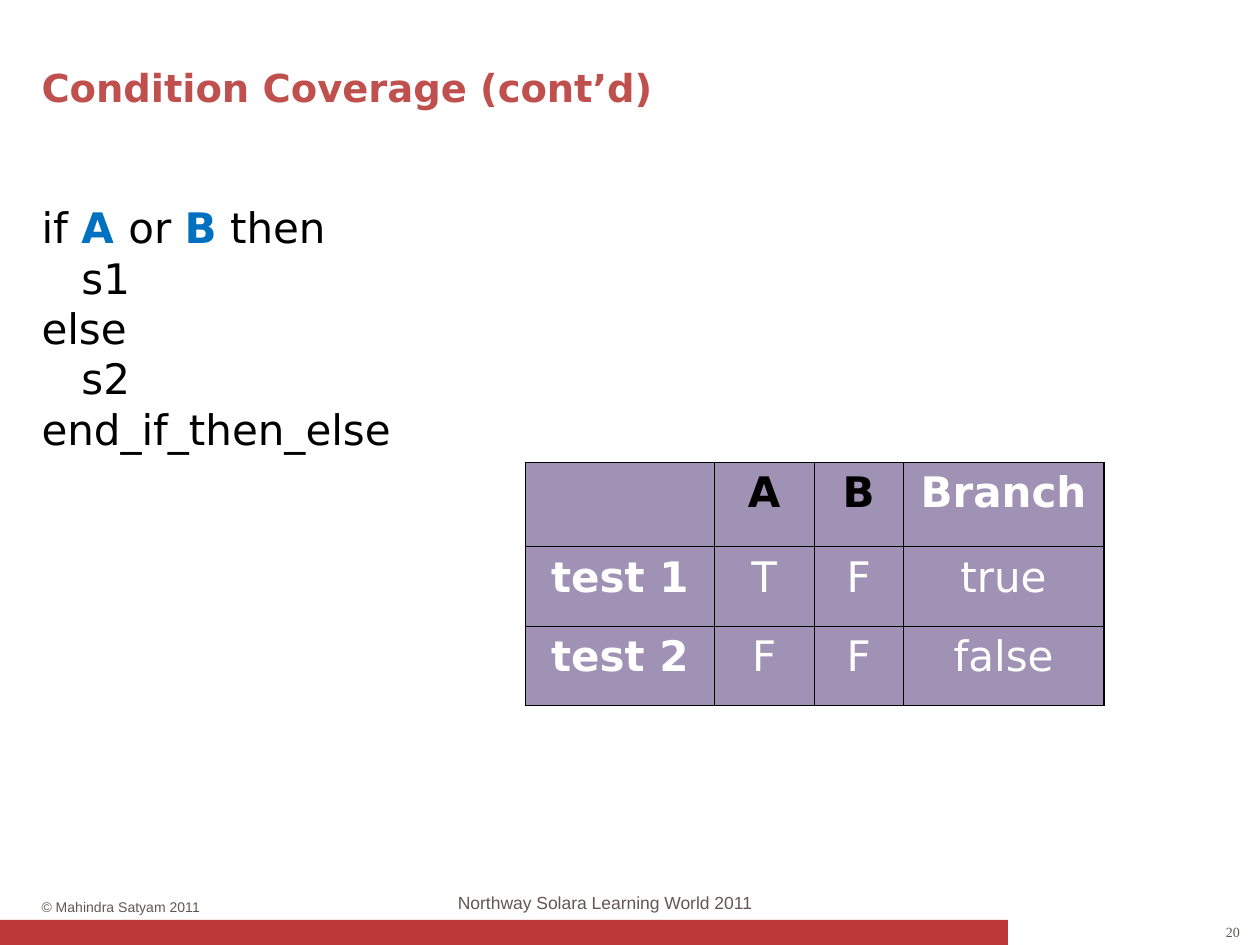
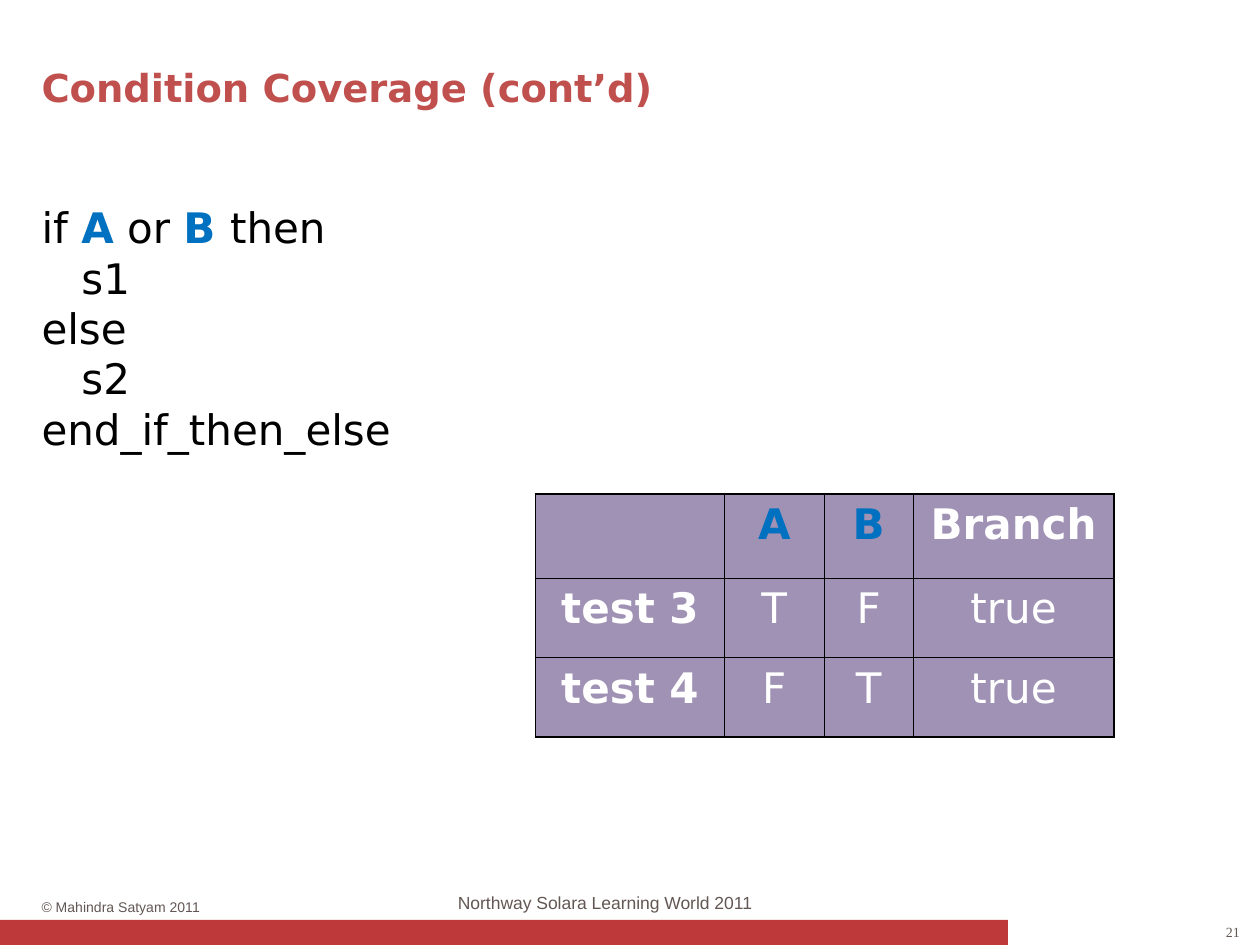
"""Build two slides on condition coverage, each with pseudocode and a test table."""
from lxml.etree import SubElement
from pptx import Presentation
from pptx.dml.color import RGBColor
from pptx.enum.shapes import MSO_SHAPE
from pptx.enum.text import MSO_ANCHOR, PP_ALIGN
from pptx.oxml.ns import qn
from pptx.util import Inches, Pt

COLORS = {
    "band": "BE3A3A",
    "footer": "625753",
    "title": "C0504D",
    "code": "000000",
    "condition": "0070C0",
    "cell": "A092B4",
    "cell_text": "FFFFFF",
    "border": "000000",
}
MAIN_FONT, FOOTER_FONT, NUMBER_FONT = "DejaVu Sans", "Arial", "Times New Roman"

TITLE = "Condition Coverage (cont’d)"
COPYRIGHT = "© Mahindra Satyam 2011"
COURSE = "Northway Solara Learning World 2011"
CODE_BODY = ["   s1", "else", "   s2", "end_if_then_else"]
HEADINGS = ["", "A", "B", "Branch"]
CONDITIONS = ("A", "B")

SLIDES = [
    {
        "number": "20",
        "test": ["if ", "A ", "or ", "B", " then"],
        "heading_color": "code",
        "table_at": (4.17, 3.67),
        "rows": [["test 1", "T", "F", "true"], ["test 2", "F", "F", "false"]],
    },
    {
        "number": "21",
        "test": ["if ", "A", " or ", "B ", "then"],
        "heading_color": "condition",
        "table_at": (4.25, 3.92),
        "rows": [["test 3", "T", "F", "true"], ["test 4", "F", "T", "true"]],
    },
]

MARGIN, CONTENT_WIDTH = 0.33, 9.34
COLUMN_WIDTHS = [1.5, 0.79, 0.71, 1.59]
ROW_HEIGHTS = [0.67, 0.63, 0.63]
OUTER_LINE, INNER_LINE = 1.08, 0.45


def rgb(name):
    return RGBColor.from_string(COLORS[name])


def add_run(paragraph, text, size, color, bold=False, font=MAIN_FONT):
    run = paragraph.add_run()
    run.text = text
    run.font.name = font
    run.font.size = Pt(size)
    run.font.bold = bold
    run.font.color.rgb = rgb(color)


def add_frame(slide, left, top, width, height, anchor=MSO_ANCHOR.TOP):
    frame = slide.shapes.add_textbox(*map(Inches, (left, top, width, height))).text_frame
    frame.margin_left = frame.margin_right = frame.margin_top = frame.margin_bottom = 0
    frame.word_wrap = True
    frame.vertical_anchor = anchor
    return frame


def add_footer(slide, number):
    band = slide.shapes.add_shape(MSO_SHAPE.RECTANGLE, 0, Inches(7.3), Inches(8), Inches(0.2))
    band.shadow.inherit = False
    band.fill.solid()
    band.fill.fore_color.rgb = rgb("band")
    band.line.fill.background()

    page = add_frame(slide, 9.37, 7.33, 0.47, 0.13, MSO_ANCHOR.MIDDLE).paragraphs[0]
    page.alignment = PP_ALIGN.RIGHT
    add_run(page, number, 8, "footer", font=NUMBER_FONT)

    rights = add_frame(slide, MARGIN, 7.13, 1.54, 0.13).paragraphs[0]
    add_run(rights, COPYRIGHT, 8, "footer", font=FOOTER_FONT)

    course = add_frame(slide, 2.64, 7.08, 4.32, 0.17).paragraphs[0]
    course.alignment = PP_ALIGN.CENTER
    add_run(course, COURSE, 10, "footer", font=FOOTER_FONT)


def add_code(slide, test):
    frame = add_frame(slide, MARGIN, 1.6, CONTENT_WIDTH, 2.02)
    for part in test:
        is_condition = part.strip() in CONDITIONS
        color = "condition" if is_condition else "code"
        add_run(frame.paragraphs[0], part, 24, color, is_condition)
    for line in CODE_BODY:
        add_run(frame.add_paragraph(), line, 24, "code")


def set_borders(cell, outer_sides):
    properties = cell._tc.get_or_add_tcPr()
    for side, is_outer in outer_sides.items():
        width = OUTER_LINE if is_outer else INNER_LINE
        line = SubElement(properties, qn(f"a:ln{side}"), w=str(Pt(width)))
        fill = SubElement(line, qn("a:solidFill"))
        SubElement(fill, qn("a:srgbClr"), val=COLORS["border"])


def add_tests(slide, position, rows, heading_color):
    grid = [HEADINGS, *rows]
    last_row, last_column = len(grid) - 1, len(HEADINGS) - 1
    size = (sum(COLUMN_WIDTHS), sum(ROW_HEIGHTS))
    tests = slide.shapes.add_table(
        len(grid), len(HEADINGS), *map(Inches, position + size)
    ).table
    tests.first_row = tests.horz_banding = False
    for column, width in zip(tests.columns, COLUMN_WIDTHS):
        column.width = Inches(width)
    for row, height in zip(tests.rows, ROW_HEIGHTS):
        row.height = Inches(height)

    for r, values in enumerate(grid):
        for c, value in enumerate(values):
            cell = tests.cell(r, c)
            set_borders(cell, {"L": c == 0, "R": c == last_column,
                               "T": r == 0, "B": r == last_row})
            cell.fill.solid()
            cell.fill.fore_color.rgb = rgb("cell")
            if value:
                paragraph = cell.text_frame.paragraphs[0]
                paragraph.alignment = PP_ALIGN.CENTER
                paragraph.space_after = Pt(6)
                color = heading_color if value in CONDITIONS else "cell_text"
                add_run(paragraph, value, 24, color, r == 0 or c == 0)


def main():
    deck = Presentation()
    deck.slide_width, deck.slide_height = Inches(10), Inches(7.5)
    for content in SLIDES:
        slide = deck.slides.add_slide(deck.slide_layouts[6])
        add_footer(slide, content["number"])
        title = add_frame(slide, MARGIN, 0.51, CONTENT_WIDTH, 0.37).paragraphs[0]
        add_run(title, TITLE, 22, "title", True)
        add_code(slide, content["test"])
        add_tests(slide, content["table_at"], content["rows"], content["heading_color"])
    deck.save("out.pptx")


if __name__ == "__main__":
    main()
